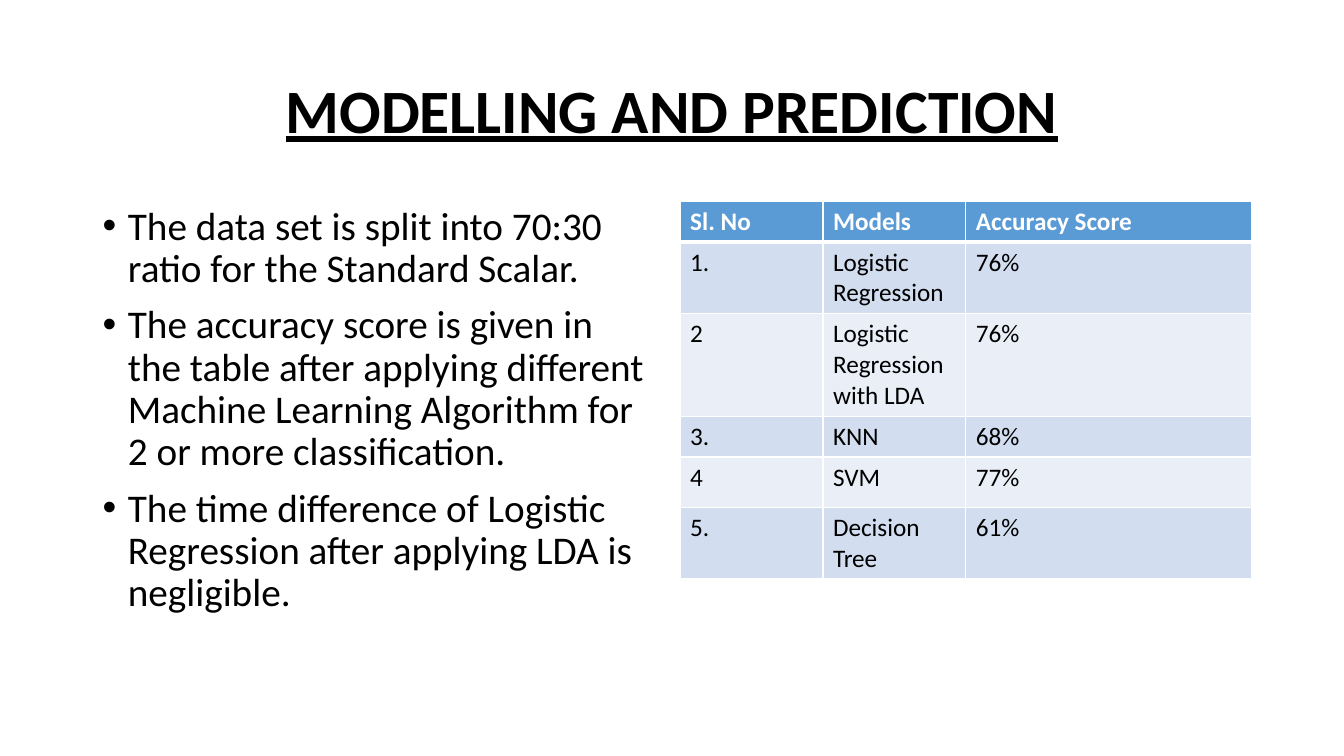
from typing import NamedTuple

from lxml.etree import SubElement
from pptx import Presentation
from pptx.dml.color import RGBColor
from pptx.enum.text import MSO_ANCHOR, MSO_AUTO_SIZE, PP_ALIGN
from pptx.oxml import parse_xml
from pptx.oxml.ns import nsdecls, qn
from pptx.util import Cm, Pt

FONT = "Calibri"
BLACK, WHITE = "000000", "FFFFFF"
HEADER_FILL, BANDS = "5B9BD5", ("D2DEEF", "EAEFF7")


class Box(NamedTuple):
    left: float
    top: float
    width: float
    height: float


class Score(NamedTuple):
    number: str
    model: str
    accuracy: str


TITLE_BOX = Box(2.33, 1.01, 29.21, 3.68)
FINDINGS_BOX = Box(2.33, 5.07, 14.4, 12.09)
SCORES_BOX = Box(17.14, 5.07, 14.4, 6.66)
COLUMN_WIDTHS = (3.6, 3.6, 7.2)
ROW_HEIGHTS = (1.03, 1.03, 1.03, 1.03, 1.27, 1.27)

FINDINGS = (
    "The data set is split into 70:30 ratio for the Standard Scalar.",
    "The accuracy score is given in the table after applying different "
    "Machine Learning Algorithm for 2 or more classification.",
    "The time difference of Logistic Regression after applying LDA is negligible.",
)
SCORES = (
    Score("Sl. No", "Models", "Accuracy Score"),
    Score("1.", "Logistic Regression", "76%"),
    Score("2", "Logistic Regression with LDA", "76%"),
    Score("3.", "KNN", "68%"),
    Score("4", "SVM", "77%"),
    Score("5.", "Decision Tree", "61%"),
)


def rgb(color: str) -> RGBColor:
    return RGBColor.from_string(color)


def set_font(paragraph, size: float, color: str, bold: bool = False) -> None:
    font = paragraph.font
    font.name, font.size, font.bold = FONT, Pt(size), bold
    font.color.rgb = rgb(color)


def place(placeholder, box: Box, anchor: MSO_ANCHOR) -> None:
    placeholder.left, placeholder.top = Cm(box.left), Cm(box.top)
    placeholder.width, placeholder.height = Cm(box.width), Cm(box.height)
    frame = placeholder.text_frame
    frame.word_wrap = True
    frame.auto_size = MSO_AUTO_SIZE.NONE
    frame.vertical_anchor = anchor


def add_bullet(paragraph) -> None:
    properties = paragraph._p.get_or_add_pPr()
    properties.set("marL", str(Cm(0.64)))
    properties.set("indent", str(-Cm(0.64)))
    SubElement(properties, qn("a:buFont")).set("typeface", "Arial")
    SubElement(properties, qn("a:buChar")).set("char", "•")


def set_borders(cell, top: float, bottom: float) -> None:
    properties = cell._tc.get_or_add_tcPr()
    sides = (("L", 1), ("R", 1), ("T", top), ("B", bottom))
    for position, (side, width) in enumerate(sides):
        properties.insert(position, parse_xml(
            f'<a:ln{side} {nsdecls("a")} w="{Pt(width)}"><a:solidFill>'
            f'<a:srgbClr val="{WHITE}"/></a:solidFill></a:ln{side}>'))


def fill_cell(cell, text: str, row: int) -> None:
    is_header = row == 0
    cell.text = text
    set_font(cell.text_frame.paragraphs[0], 18, WHITE if is_header else BLACK, is_header)
    cell.fill.solid()
    cell.fill.fore_color.rgb = rgb(HEADER_FILL if is_header else BANDS[(row - 1) % 2])
    set_borders(cell, top=3 if row == 1 else 1, bottom=3 if is_header else 1)


deck = Presentation()
deck.slide_width, deck.slide_height = Cm(33.87), Cm(19.05)
slide = deck.slides.add_slide(deck.slide_layouts[1])

# Title
title = slide.shapes.title
place(title, TITLE_BOX, MSO_ANCHOR.MIDDLE)
title.text_frame.text = "MODELLING AND PREDICTION"
heading = title.text_frame.paragraphs[0]
heading.alignment, heading.line_spacing = PP_ALIGN.CENTER, 0.9
set_font(heading, 44, BLACK, bold=True)
heading.font.underline = True

# Findings list
findings = slide.placeholders[1]
place(findings, FINDINGS_BOX, MSO_ANCHOR.TOP)
findings.text_frame.text = "\n".join(FINDINGS)
for finding in findings.text_frame.paragraphs:
    finding.line_spacing, finding.space_before = 0.9, Pt(10)
    add_bullet(finding)
    set_font(finding, 28, BLACK)

# Accuracy table
scores = slide.shapes.add_table(
    len(SCORES), len(COLUMN_WIDTHS), *(Cm(length) for length in SCORES_BOX)).table
for column, width in zip(scores.columns, COLUMN_WIDTHS):
    column.width = Cm(width)
for row, (score, height) in enumerate(zip(SCORES, ROW_HEIGHTS)):
    scores.rows[row].height = Cm(height)
    for cell, text in zip(scores.rows[row].cells, score):
        fill_cell(cell, text, row)

deck.save("out.pptx")
